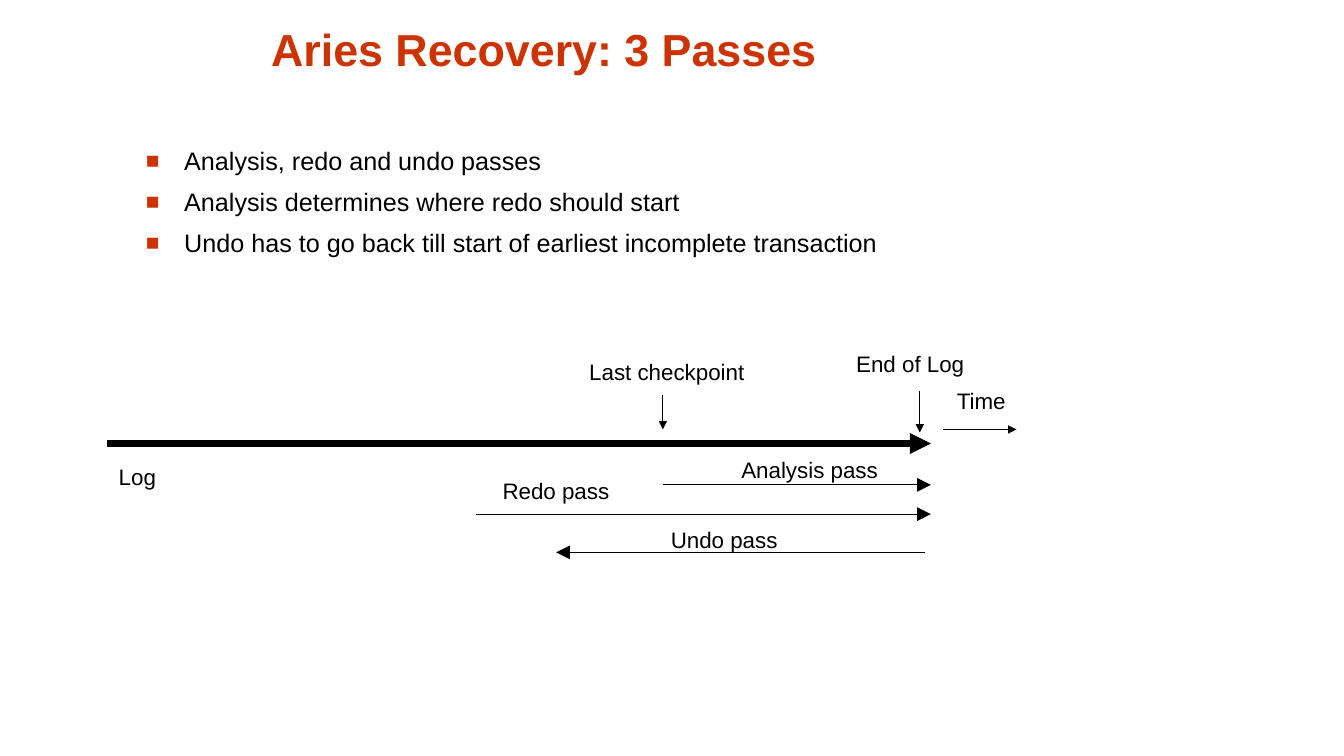
from lxml.etree import SubElement
from pptx import Presentation
from pptx.dml.color import RGBColor
from pptx.enum.shapes import MSO_CONNECTOR
from pptx.enum.text import MSO_ANCHOR, MSO_AUTO_SIZE, PP_ALIGN
from pptx.oxml.ns import qn
from pptx.util import Inches, Pt

# Content
TITLE = "Aries Recovery: 3 Passes"
POINTS = [
    "Analysis, redo and undo passes",
    "Analysis determines where redo should start",
    "Undo has to go back till start of earliest incomplete transaction",
]

# Log diagram, in inches
LOG_START, LOG_END, LOG_Y = 1.06, 9.24, 4.4
CHECKPOINT, END_MARK = 6.58, 9.13
LABELS = [  # text, left, top, width
    ("Last checkpoint", 5.75, 3.5, 1.75),
    ("End of Log", 8.4, 3.42, 1.28),
    ("Time", 9.4, 3.79, 0.7),
    ("Log", 1.08, 4.55, 0.58),
    ("Analysis pass", 7.26, 4.48, 1.58),
    ("Redo pass", 4.89, 4.68, 1.27),
    ("Undo pass", 6.56, 5.17, 1.27),
]
THIN, THICK = 0.74, 5
ARROWS = [  # from, to, line width, head size
    ((LOG_START, LOG_Y), (LOG_END, LOG_Y), THICK, "med"),
    ((CHECKPOINT, 3.92), (CHECKPOINT, 4.26), THIN, "med"),
    ((END_MARK, 3.88), (END_MARK, 4.29), THIN, "med"),
    ((9.36, 4.26), (10.09, 4.26), THIN, "med"),
    ((CHECKPOINT, 4.81), (LOG_END, 4.81), THIN, "lg"),
    ((4.72, 5.1), (LOG_END, 5.1), THIN, "lg"),
    ((9.18, 5.48), (5.52, 5.48), THIN, "lg"),
]

FONT = "Arial"
RED = RGBColor(0xCC, 0x33, 0x00)
BLACK = RGBColor(0, 0, 0)
INDENT = Inches(0.38)

deck = Presentation()
deck.slide_width, deck.slide_height = Inches(13.34), Inches(7.5)
slide = deck.slides.add_slide(deck.slide_layouts[6])


def add_text(lines, left, top, width, height, size, color=BLACK, bold=False):
    frame = slide.shapes.add_textbox(*map(Inches, (left, top, width, height))).text_frame
    frame.word_wrap = True
    frame.text = "\n".join(lines)
    for paragraph in frame.paragraphs:
        font = paragraph.runs[0].font
        font.name, font.size, font.bold = FONT, Pt(size), bold
        font.color.rgb = color
    return frame


def add_bullet(paragraph):
    paragraph.space_before = Pt(7.9)
    props = paragraph._p.get_or_add_pPr()
    props.set("marL", str(INDENT))
    props.set("indent", str(-INDENT))
    SubElement(SubElement(props, qn("a:buClr")), qn("a:srgbClr"), val=str(RED))
    SubElement(props, qn("a:buSzPct"), val="90000")
    SubElement(props, qn("a:buFont"), typeface=FONT)
    SubElement(props, qn("a:buChar"), char="■")


def add_arrow(start, end, width, head):
    arrow = slide.shapes.add_connector(
        MSO_CONNECTOR.STRAIGHT, *map(Inches, start + end))
    arrow.line.color.rgb = BLACK
    arrow.line.width = Pt(width)
    SubElement(arrow.line._get_or_add_ln(), qn("a:tailEnd"),
               type="triangle", w=head, len=head)
    SubElement(arrow._element.spPr, qn("a:effectLst"))


# Title
heading = add_text([TITLE], 1.12, 0.13, 8.56, 0.67, 32, RED, bold=True)
heading.vertical_anchor = MSO_ANCHOR.BOTTOM
heading.paragraphs[0].alignment = PP_ALIGN.CENTER

# Bullet points
for point in add_text(POINTS, 1.35, 1.39, 8.38, 1.93, 18).paragraphs:
    add_bullet(point)

# Log, passes and their labels
for arrow_ends in ARROWS:
    add_arrow(*arrow_ends)
for label, left, top, width in LABELS:
    caption = add_text([label], left, top, width, 0.37, 16)
    caption.word_wrap = False
    caption.auto_size = MSO_AUTO_SIZE.SHAPE_TO_FIT_TEXT

deck.save("out.pptx")
